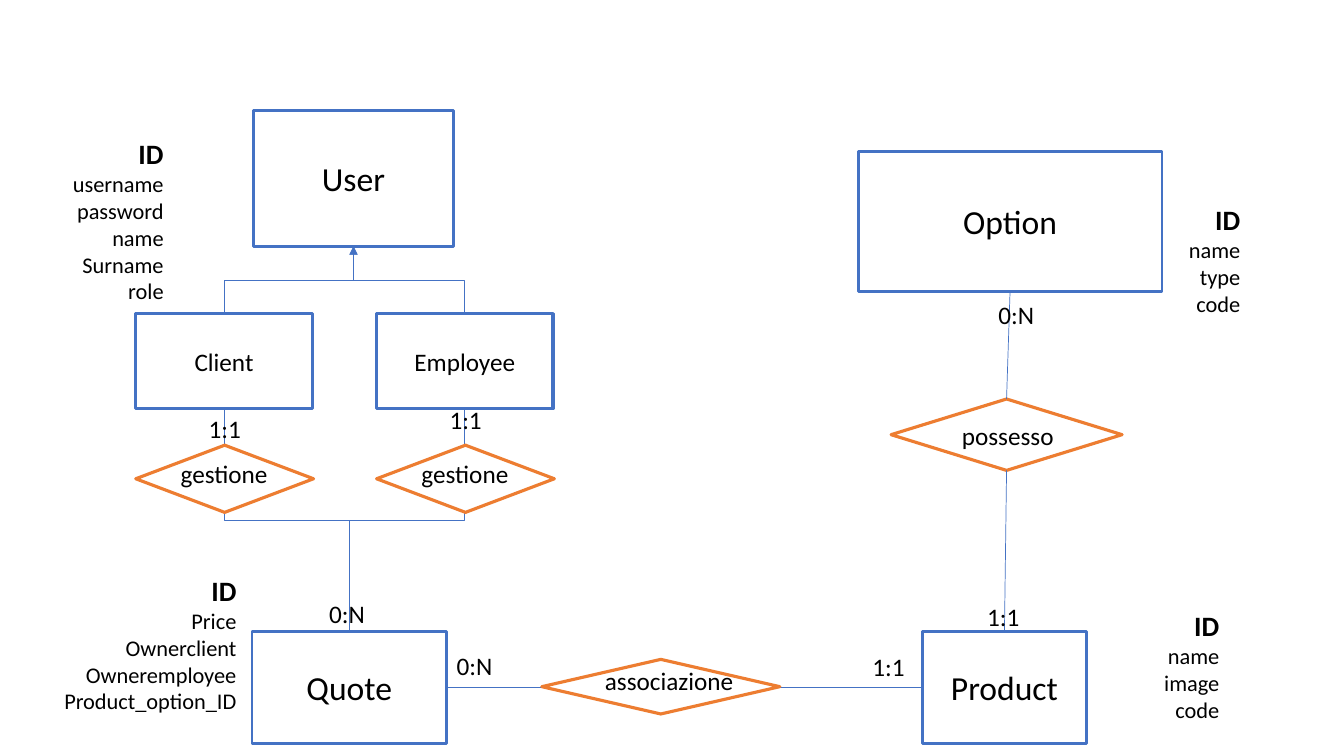
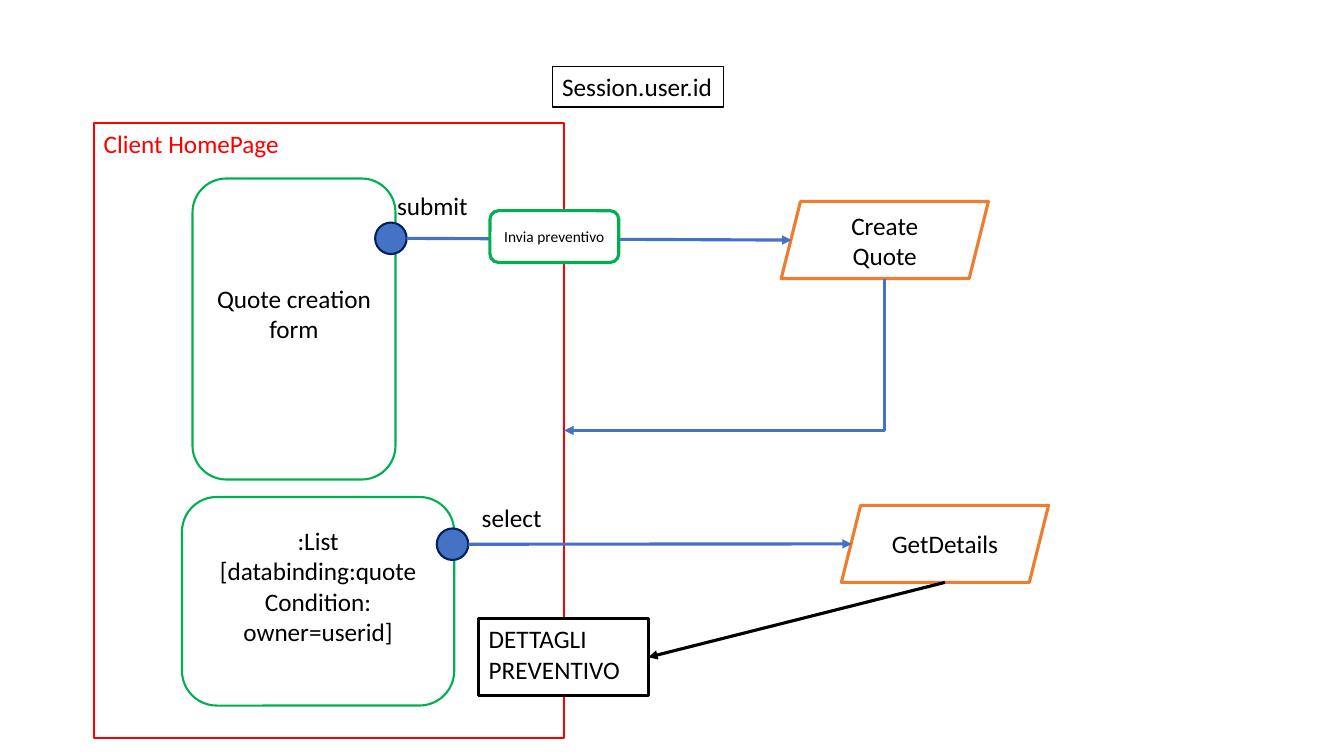
from lxml import etree
from pptx import Presentation
from pptx import util as u
from pptx.dml import color
from pptx.enum import shapes, text
from pptx.oxml import ns

FONT = "Calibri"
BLACK, WHITE, BLUE, NAVY = "000000", "FFFFFF", "4472C4", "002060"
ORANGE, GREEN, RED = "ED7D31", "00B050", "FF0000"
KIND = shapes.MSO_SHAPE
LEFT, CENTER, RIGHT = text.PP_ALIGN.LEFT, text.PP_ALIGN.CENTER, text.PP_ALIGN.RIGHT
TOP, MIDDLE = text.MSO_ANCHOR.TOP, text.MSO_ANCHOR.MIDDLE
LINE_HEIGHT = 22
LABEL_HEIGHT = 29
BLANK_LAYOUT = 6


def rgb(value):
    return color.RGBColor.from_string(value)


def apply(target, values):
    for name, value in values.items():
        setattr(target, name, value)


def inside(region, left, top, width, height):
    """Box placed relative to the region's top left corner."""
    return region[0] + left, region[1] + top, width, height


def at(shape, across, down):
    """Point of a shape, as shares of its width and height."""
    return (shape.left.pt + shape.width.pt * across,
            shape.top.pt + shape.height.pt * down)


# Basic parts
def write(shape, lines, size=18, ink=BLACK, align=LEFT, anchor=TOP,
          wrap=True, heading=None, bottom=3.6):
    """Write lines as paragraphs; heading is the size of a bold first line."""
    frame = shape.text_frame
    apply(frame, {"word_wrap": wrap, "vertical_anchor": anchor,
                  "margin_left": u.Pt(7.2), "margin_right": u.Pt(7.2),
                  "margin_top": u.Pt(3.6), "margin_bottom": u.Pt(bottom)})
    for index, line in enumerate(lines):
        paragraph = frame.add_paragraph() if index else frame.paragraphs[0]
        paragraph.alignment = align
        run = paragraph.add_run()
        run.text = line
        is_heading = bool(heading) and index == 0
        apply(run.font, {"name": FONT, "bold": is_heading,
                         "size": u.Pt(heading if is_heading else size)})
        run.font.color.rgb = rgb(ink)


def add_box(slide, kind, box, line, width, lines=(), fill=WHITE, **style):
    shape = slide.shapes.add_shape(kind, *map(u.Pt, box))
    shape.shadow.inherit = False
    shape.fill.solid()
    shape.fill.fore_color.rgb = rgb(fill)
    shape.line.color.rgb = rgb(line)
    shape.line.width = u.Pt(width)
    write(shape, lines, **style)
    return shape


def add_text(slide, box, lines, **style):
    write(slide.shapes.add_textbox(*map(u.Pt, box)), lines, **style)


def add_label(slide, region, left, top, words, width=62, **style):
    add_text(slide, inside(region, left, top, width, LABEL_HEIGHT), [words], **style)


def add_line(slide, start, end, ink=BLUE, width=0.5, arrow=False,
             kind=shapes.MSO_CONNECTOR.STRAIGHT):
    connector = slide.shapes.add_connector(kind, *map(u.Pt, start + end))
    connector.line.color.rgb = rgb(ink)
    connector.line.width = u.Pt(width)
    if arrow:
        etree.SubElement(connector.line._get_or_add_ln(), ns.qn("a:tailEnd"),
                         type="triangle")
    etree.SubElement(connector._element.spPr, ns.qn("a:effectLst"))
    return connector


def add_elbow(slide, start, end, preset="bentConnector3", **style):
    """Bent line that leaves its start vertically: a quarter turn of the preset."""
    run, rise = end[0] - start[0], end[1] - start[1]
    middle = (start[0] + end[0]) / 2, (start[1] + end[1]) / 2
    half = abs(rise) / 2, abs(run) / 2
    connector = add_line(slide, (middle[0] - half[0], middle[1] - half[1]),
                         (middle[0] + half[0], middle[1] + half[1]),
                         kind=shapes.MSO_CONNECTOR.ELBOW, **style)
    properties = connector._element.spPr
    frame = properties.find(ns.qn("a:xfrm"))
    frame.set("rot", "5400000")
    frame.set("flipH", str(int(rise < 0)))
    frame.set("flipV", str(int(run > 0)))
    properties.find(ns.qn("a:prstGeom")).set("prst", preset)


# Entity diagram parts
def add_entity(slide, box, name, size=24, width=2):
    return add_box(slide, KIND.RECTANGLE, box, BLUE, width, [name],
                   size=size, align=CENTER, anchor=MIDDLE)


def add_relation(slide, box):
    return add_box(slide, KIND.DIAMOND, box, ORANGE, 2.25)


def add_attributes(slide, box, *names):
    add_text(slide, box, ["ID", *names], size=16, heading=20, align=RIGHT)


def quote_region(slide, region):
    add_attributes(slide, inside(region, 0, 0, 163, 125),
                   "Price", "Ownerclient", "Owneremployee", "Product_option_ID")
    return add_entity(slide, inside(region, 167, 45, 139, 80), "Quote")


def users_region(slide, region, quote):
    add_attributes(slide, inside(region, 0, 15, 124, 130),
                   "username", "password", "name", "Surname", "role")
    user = add_entity(slide, inside(region, 181, 0, 143, 97), "User")
    # Each kind of user: name, left, top of its cardinality
    for name, left, cardinality_top in (("Client", 97, 213), ("Employee", 269, 206)):
        role = add_entity(slide, inside(region, left, 145, 126, 68), name, 18, 2.25)
        add_elbow(slide, at(role, 0.5, 0), at(user, 0.5, 1), arrow=True)
        add_elbow(slide, at(role, 0.5, 1), at(quote, 0.5, 0))
        add_relation(slide, inside(region, left, 239, 127, 48))
        add_label(slide, region, left + 45, cardinality_top, "1:1")
        add_label(slide, region, left + 25, 245, "gestione", 83)
    add_label(slide, region, 228, 345, "0:N")


def catalogue_region(slide, region):
    option = add_entity(slide, inside(region, 0, 0, 217, 100), "Option")
    product = add_entity(slide, inside(region, 46, 343, 117, 80), "Product")
    add_attributes(slide, inside(region, 155, 33, 125, 130), "name", "type", "code")
    add_attributes(slide, inside(region, 140, 323, 125, 109), "name", "image", "code")
    owning = add_relation(slide, inside(region, 23.5, 177, 165, 51))
    add_line(slide, at(option, 0.5, 1), at(owning, 0.5, 0))
    add_line(slide, at(owning, 0.5, 1), at(product, 0.5, 0))
    add_label(slide, region, 93, 102, "0:N")
    add_label(slide, region, 85, 318, "1:1")
    add_label(slide, region, 67, 189, "possesso", 111)
    return product


def association_region(slide, region, quote, product):
    add_line(slide, at(quote, 1, 0.5), at(product, 0, 0.5))
    add_relation(slide, inside(region, 68, 10, 170, 39))
    add_label(slide, region, 0, 0, "0:N")
    add_label(slide, region, 297, 1, "1:1")
    add_label(slide, region, 106, 11, "associazione", 111)


def entity_slide(presentation):
    slide = presentation.slides.add_slide(presentation.slide_layouts[BLANK_LAYOUT])
    quote = quote_region(slide, (13, 406, 306, 125))
    users_region(slide, (0, 79, 396, 287), quote)
    product = catalogue_region(slide, (613, 108, 280, 432))
    association_region(slide, (319, 461, 340, 49), quote, product)


# Interaction diagram parts
def event_region(slide, region, lines, dot_at, event, event_at, action, action_at):
    """Component with an event dot, and the arrow to the action it triggers."""
    add_box(slide, KIND.ROUNDED_RECTANGLE, region, GREEN, 1.5, lines,
            align=CENTER, anchor=MIDDLE, bottom=3.6 + LINE_HEIGHT)
    target = add_box(slide, KIND.PARALLELOGRAM, inside(region, *action_at, 148, 55),
                     ORANGE, 2.25, [action], align=CENTER, anchor=MIDDLE)
    dot = add_box(slide, KIND.OVAL, inside(region, *dot_at, 22.5, 22.5),
                  NAVY, 1.5, fill=BLUE)
    add_line(slide, at(dot, 1, 0.5), at(target, 0.05, 0.5), width=2.25, arrow=True)
    add_label(slide, region, *event_at, event, 65, wrap=False)
    return target


def interaction_slide(presentation):
    slide = presentation.slides.add_slide(presentation.slide_layouts[BLANK_LAYOUT])
    page = add_box(slide, KIND.RECTANGLE, (67, 88, 336, 439), RED, 1.5,
                   ["Client HomePage"], ink=RED)
    add_box(slide, KIND.RECTANGLE, (394.5, 47.5, 122.5, LABEL_HEIGHT), BLACK, 1,
            ["Session.user.id"], wrap=False)

    # Quote form, sent by a button and returning to the page
    create = event_region(slide, (137.5, 127.5, 145, 215), ["Quote creation form"],
                          (130.5, 31.5), "submit", (139, 5),
                          "Create Quote", (420.5, 16.5))
    add_box(slide, KIND.ROUNDED_RECTANGLE, (350, 150.5, 92, 37), GREEN, 2.25,
            ["Invia preventivo"], size=11, align=CENTER, anchor=MIDDLE)
    add_elbow(slide, at(create, 0.5, 1), at(page, 1, 0.5), "bentConnector2",
              width=2.25, arrow=True)

    # Quote list, leading to the details
    details = event_region(slide, (130, 355, 194.5, 149),
                           [":List", "[databinding:quote", "Condition: owner=userid]"],
                           (182, 22.5), "select", (207, 0),
                           "GetDetails", (471, 6))
    panel = add_box(slide, KIND.RECTANGLE, (342, 442, 121, 55), BLACK, 2,
                    ["DETTAGLI", "PREVENTIVO"])
    add_line(slide, at(details, 0.5, 1), at(panel, 1, 0.5), BLACK, 2.25, True)


presentation = Presentation()
apply(presentation, {"slide_width": u.Pt(960), "slide_height": u.Pt(540)})
entity_slide(presentation)
interaction_slide(presentation)
presentation.save("out.pptx")
